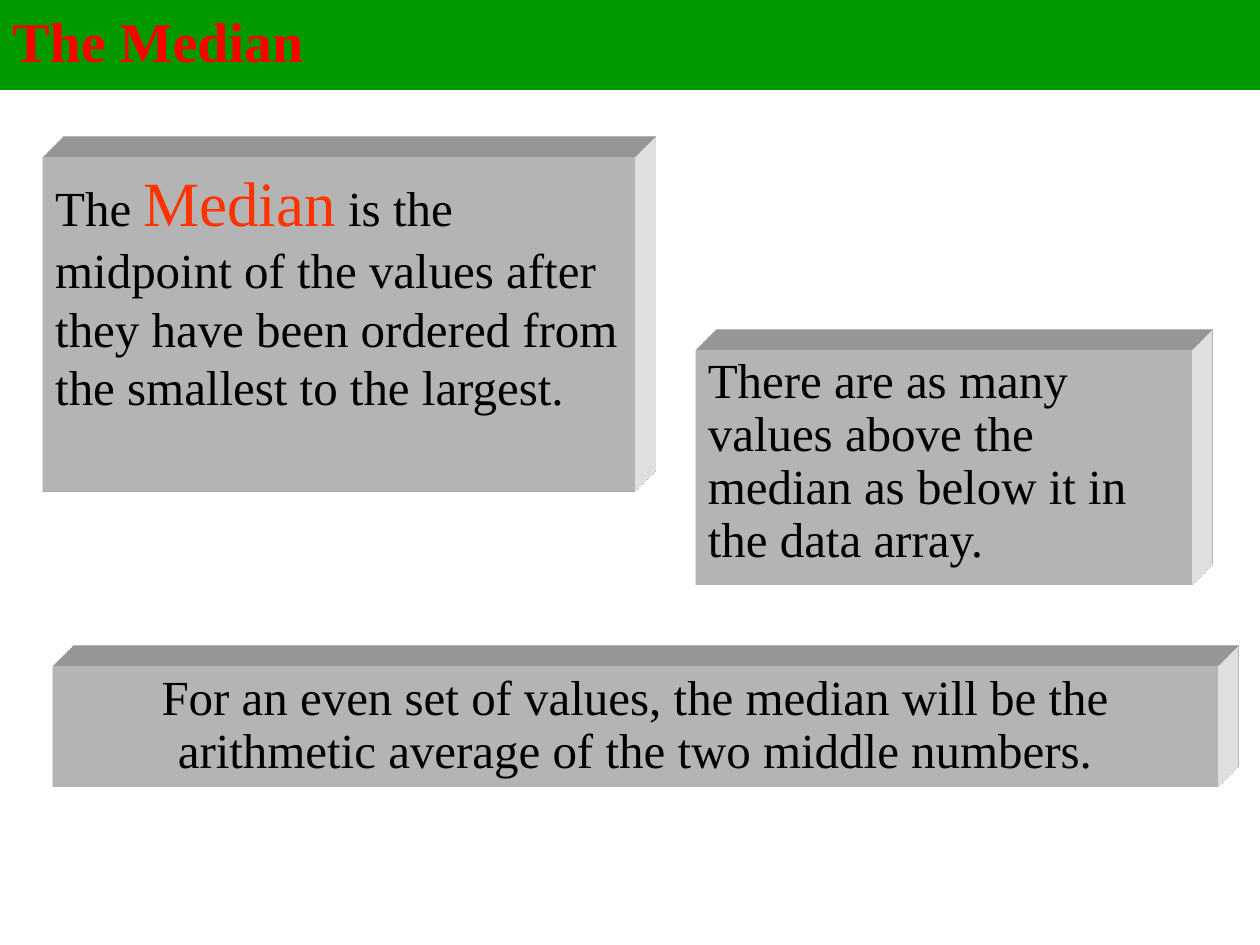
from lxml import etree
from pptx import Presentation
from pptx.dml.color import RGBColor
from pptx.enum.shapes import MSO_SHAPE
from pptx.enum.text import MSO_ANCHOR, PP_ALIGN
from pptx.util import Inches, Pt

FONT = "Times New Roman"
WHITE = RGBColor(0xFF, 0xFF, 0xFF)
BLACK = RGBColor(0x00, 0x00, 0x00)
GREEN = RGBColor(0x00, 0x99, 0x00)
RED = RGBColor(0xFF, 0x00, 0x00)
ORANGE = RGBColor(0xFF, 0x33, 0x00)

DRAWING = "http://schemas.openxmlformats.org/drawingml/2006/main"
EXTRUSION = (
    f'<a:scene3d xmlns:a="{DRAWING}">'
    '<a:camera prst="legacyObliqueTopRight"/>'
    '<a:lightRig rig="legacyFlat3" dir="b"/></a:scene3d>',
    f'<a:sp3d xmlns:a="{DRAWING}" extrusionH="430200" prstMaterial="legacyMatte">'
    '<a:bevelT w="13500" h="13500" prst="angle"/>'
    '<a:bevelB w="13500" h="13500" prst="angle"/>'
    '<a:extrusionClr><a:srgbClr val="FFFFFF"/></a:extrusionClr></a:sp3d>',
)


def add_box(position, fill, runs, line_spacing, alignment=PP_ALIGN.LEFT):
    """Add a filled rectangle with one paragraph of (text, size, colour) runs."""
    shape = slide.shapes.add_shape(MSO_SHAPE.RECTANGLE, *map(Inches, position))
    shape.shadow.inherit = False
    shape.fill.solid()
    shape.fill.fore_color.rgb = fill
    shape.line.fill.background()
    text_frame = shape.text_frame
    text_frame.word_wrap = True
    text_frame.vertical_anchor = MSO_ANCHOR.TOP
    paragraph = text_frame.paragraphs[0]
    paragraph.alignment = alignment
    paragraph.line_spacing = line_spacing
    for text, size, colour in runs:
        run = paragraph.add_run()
        run.text = text
        run.font.name = FONT
        run.font.size = Pt(size)
        run.font.color.rgb = colour
    return shape


presentation = Presentation()
presentation.slide_width = Inches(10)
presentation.slide_height = Inches(7.5)
slide = presentation.slides.add_slide(presentation.slide_layouts[6])

# Raised statement boxes
statements = [
    ((5.52, 2.78, 3.94, 1.86), 0.9, PP_ALIGN.LEFT, [
        ("There are as many values above the median as below it "
         "in the data array.", 28, BLACK)]),
    ((0.42, 5.29, 9.24, 0.95), 0.9, PP_ALIGN.CENTER, [
        ("For an even set of values, the median will be the arithmetic "
         "average of the two middle numbers.", 28, BLACK)]),
    ((0.34, 1.25, 4.7, 2.65), 1.0, PP_ALIGN.LEFT, [
        ("The ", 28, BLACK),
        ("Median", 36, ORANGE),
        (" is the midpoint of the values after they have been ordered "
         "from the smallest to the largest.", 28, BLACK)]),
]
for position, line_spacing, alignment, runs in statements:
    box = add_box(position, WHITE, runs, line_spacing, alignment)
    for element in EXTRUSION:
        box._element.spPr.append(etree.fromstring(element))

# Title band
band = add_box((0, 0, 10, 0.71), GREEN, [("The Median", 32, RED)], 0.9)
band.line.color.rgb = GREEN
band.line.width = Pt(0.75)
band.text_frame.vertical_anchor = MSO_ANCHOR.MIDDLE
band.text_frame.paragraphs[0].runs[0].font.bold = True

presentation.save("out.pptx")
